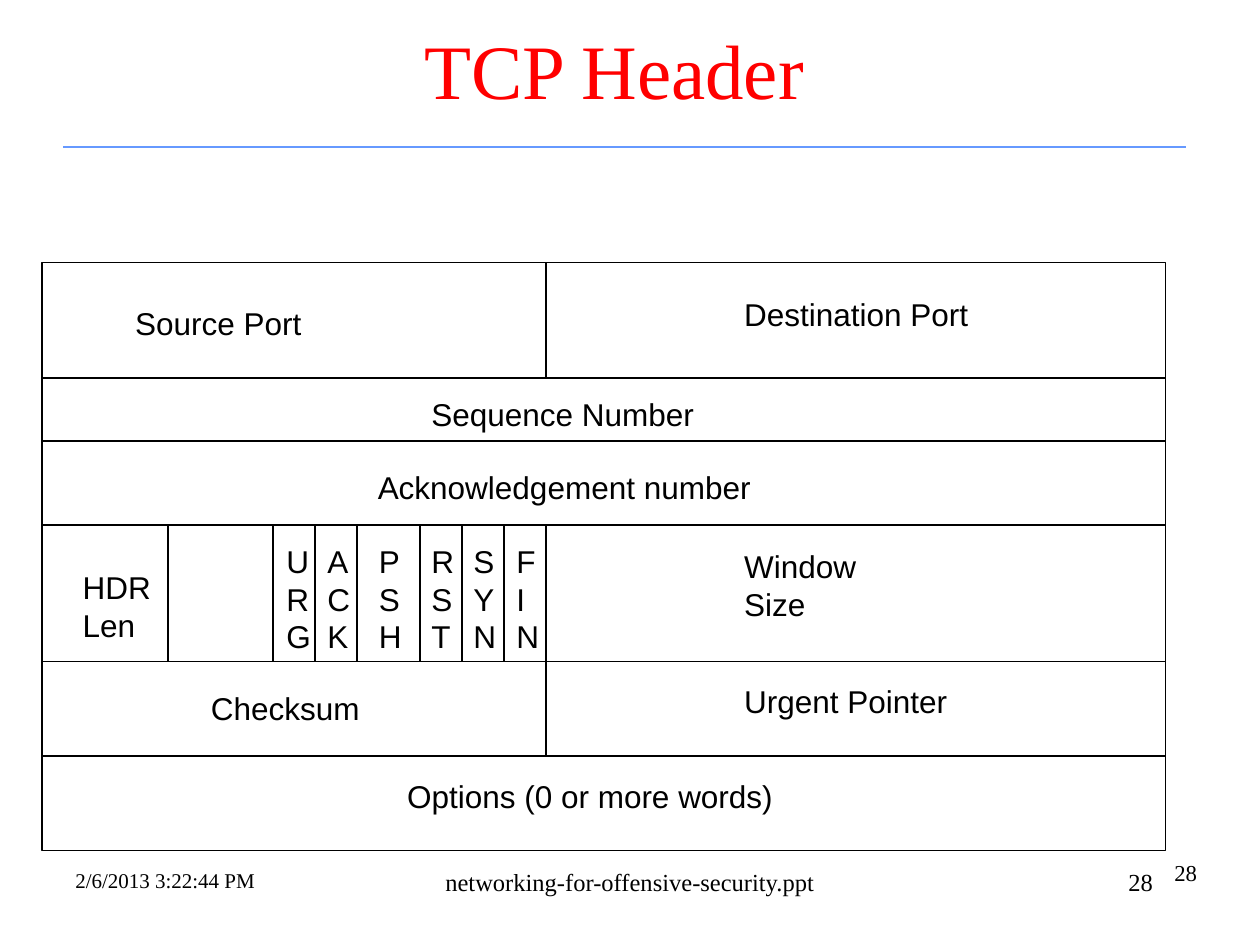
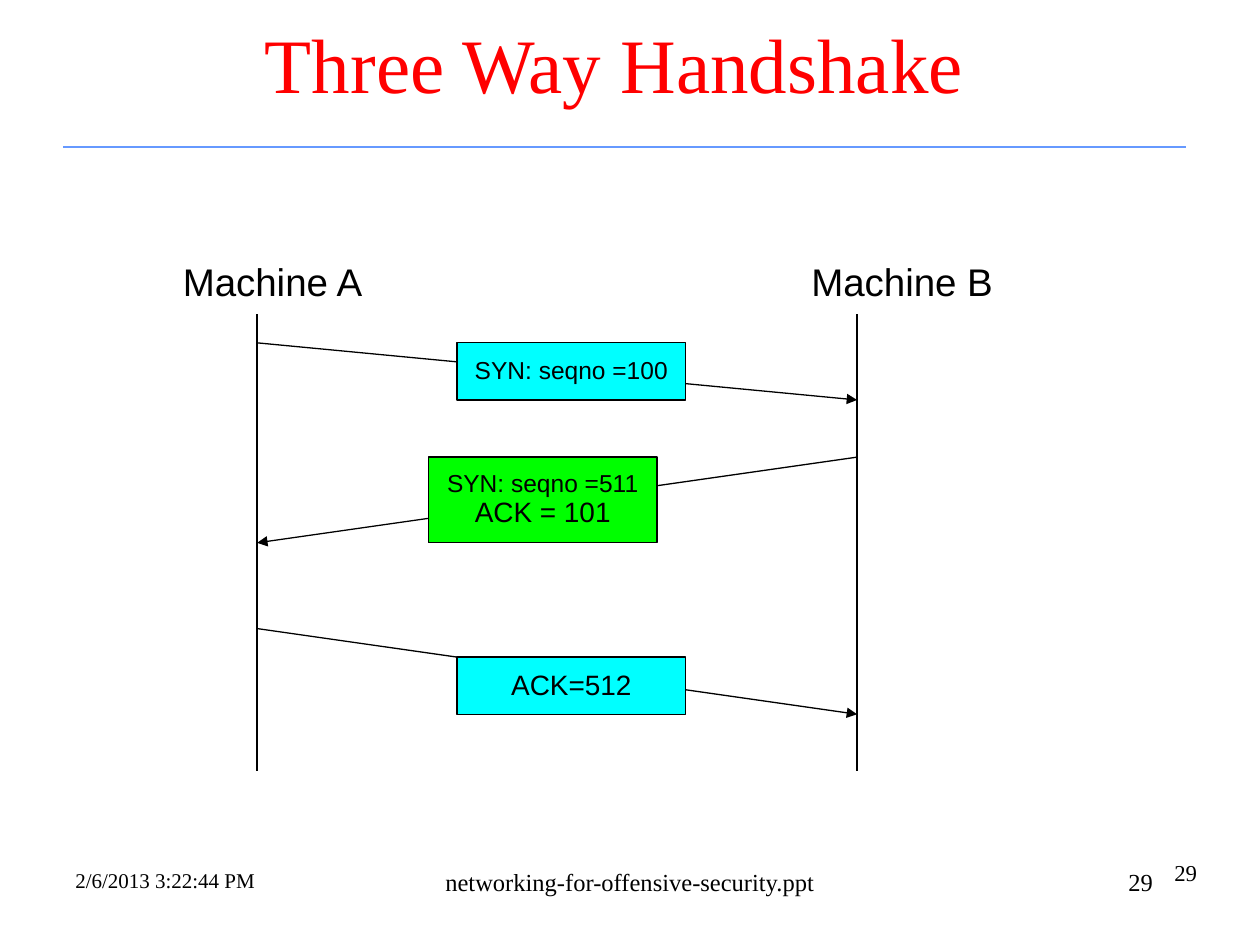
from lxml import etree
from pptx import Presentation
from pptx.dml.color import RGBColor
from pptx.enum.shapes import MSO_CONNECTOR as CONN, MSO_SHAPE as SHAPE
from pptx.enum.text import MSO_ANCHOR as ANCHOR, MSO_AUTO_SIZE as FIT, PP_ALIGN as ALIGN
from pptx.oxml.ns import qn
from pptx.util import Inches, Pt

# Shared look
SERIF, SANS = "Times New Roman", "Arial"
BLACK, RED, RULE = "000000", "FF0000", "6699FF"
CYAN, GREEN = "00FFFF", "00FF00"
DATE, FILE = "2/6/2013 3:22:44 PM", "networking-for-offensive-security.ppt"

# Grids: the number of units in an inch
FRAME = 12      # titles, footers and the header diagram
STEP = 4.41     # the handshake diagram


def color(code):
    return RGBColor.from_string(code)


def place(grid, *lengths):
    return [Inches(n / grid) for n in lengths]


def write(tf, paragraphs, size, font=SANS, ink=BLACK, align=ALIGN.LEFT,
          spacing=None, insets=(0.09, 0.05), anchor=ANCHOR.TOP, wrap=True):
    """Fill a text frame; a size may be one number or one for each paragraph."""
    tf.auto_size, tf.word_wrap, tf.vertical_anchor = FIT.NONE, wrap, anchor
    tf.margin_left = tf.margin_right = Inches(insets[0])
    tf.margin_top = tf.margin_bottom = Inches(insets[1])
    sizes = size if isinstance(size, list) else [size] * len(paragraphs)
    for i, (text, points) in enumerate(zip(paragraphs, sizes)):
        p = tf.add_paragraph() if i else tf.paragraphs[0]
        p.text = text
        p.alignment = align
        if spacing:
            p.line_spacing = spacing
        p.font.name, p.font.size = font, Pt(points)
        p.font.color.rgb = color(ink)


def text_box(s, grid, box, paragraphs, size, **style):
    sp = s.shapes.add_textbox(*place(grid, *box))
    write(sp.text_frame, paragraphs, size, **style)


def line(s, grid, ends, ink=BLACK, width=0.75, arrow=False):
    sp = s.shapes.add_connector(CONN.STRAIGHT, *place(grid, *ends))
    sp.line.color.rgb, sp.line.width = color(ink), Pt(width)
    if arrow:
        etree.SubElement(sp.line._get_or_add_ln(), qn("a:tailEnd"), type="triangle")
    etree.SubElement(sp._element.spPr, qn("a:effectLst"))


def block(s, grid, box, kind=SHAPE.RECTANGLE, fill=None):
    sp = s.shapes.add_shape(kind, *place(grid, *box))
    sp.shadow.inherit = False
    sp.line.color.rgb, sp.line.width = color(BLACK), Pt(0.75)
    if fill:
        sp.fill.solid()
        sp.fill.fore_color.rgb = color(fill)
    else:
        sp.fill.background()
    return sp


def new_slide(prs, title, number, **title_style):
    """Add a slide with the title, the rule below it and the footers."""
    s = prs.slides.add_slide(prs.slide_layouts[5])
    sp = s.shapes.title
    sp.left, sp.top, sp.width, sp.height = place(FRAME, 6, 2, 105, 9)
    write(sp.text_frame, [title], 44, font=SERIF, ink=RED, align=ALIGN.CENTER,
          anchor=ANCHOR.MIDDLE, **title_style)
    line(s, FRAME, (6, 14, 113, 14), RULE, 1)

    text_box(s, FRAME, (86, 82, 28, 6.2), [number], 13, font=SERIF,
             align=ALIGN.RIGHT, spacing=0.95, insets=(0, 0))
    for left, width, text, size, align in (
            (41, 38, FILE, 14, ALIGN.CENTER),
            (86, 25, number, 14, ALIGN.RIGHT),
            (6, 38.5, DATE, 12, ALIGN.LEFT)):
        text_box(s, FRAME, (left, 82, width, 6), [text], size, font=SERIF,
                 align=align, insets=(0.1, 0.05))
    return s


def tcp_header(prs):
    s = new_slide(prs, "TCP Header", "28")
    left, middle, right = 4, 52, 111
    top, ports, sequence, acknowledgement, flags, checksum, bottom = 25, 36, 42, 50, 63, 72, 81

    # Field names: column, row, width, paragraphs
    fields = [
        (11.8, 28.4, 18, ["Source Port"]),
        (69.8, 27.5, 23.5, ["Destination Port"]),
        (40, 37, 27.1, ["Sequence Number"]),
        (34.9, 44, 37.7, ["Acknowledgement number"]),
        (6.8, 53.5, 8.6, ["HDR\vLen"]),
        (69.8, 51.5, 12.8, ["Window", "Size"]),
        (19, 65, 16.3, ["Checksum"]),
        (69.8, 64.4, 21.5, ["Urgent Pointer"]),
        (37.7, 73.4, 37, ["Options (0 or more words)"]),
    ]
    flag_columns = (26.2, 30.1, 35, 40, 44, 48.1)
    fields += [(x, 51, 4.4, ["\v".join(name)])
               for x, name in zip(flag_columns, ("URG", "ACK", "PSH", "RST", "SYN", "FIN"))]
    for x, y, width, paragraphs in fields:
        rows = len(paragraphs) + paragraphs[0].count("\v")
        text_box(s, FRAME, (x, y, width, 1.1 + 3.6 * rows), paragraphs, 18, wrap=False)

    # Frame, row lines and column lines
    block(s, FRAME, (left, top, right - left, bottom - top))
    for y in (ports, sequence, acknowledgement, flags, checksum):
        line(s, FRAME, (left, y, right, y))
    line(s, FRAME, (middle, top, middle, ports))
    for x in (16, 26, 30, 34, 40, 44, 48, middle):
        line(s, FRAME, (x, acknowledgement, x, flags))
    line(s, FRAME, (middle, flags, middle, checksum))


def handshake(prs):
    s = new_slide(prs, "Three Way Handshake", "29", spacing=0.93, insets=(0, 0))
    style = dict(spacing=0.93, insets=(0.09, 0.04))
    a, b = 9, 30

    # Machines and their time lines
    for x, label, name in ((a, 6, "Machine A"), (b, 28, "Machine B")):
        text_box(s, STEP, (label, 9, 7.1, 1.9), [name], 22, wrap=False, **style)
        line(s, STEP, (x, 11, x, 27))

    # Messages: arrow ends, box, fill, text, sizes
    messages = [
        ((a, 12, b, 14), (16, 12, 8, 2), CYAN, ["SYN: seqno =100"], 14),
        ((b, 16, a, 19), (15, 16, 8, 3), GREEN, ["SYN: seqno =511", "ACK = 101"], [14, 16]),
        ((a, 22, b, 25), (16, 23, 8, 2), CYAN, ["ACK=512"], 16),
    ]
    for ends, box, fill, paragraphs, size in messages:
        line(s, STEP, ends, arrow=True)
        sp = block(s, STEP, box, SHAPE.ROUNDED_RECTANGLE, fill)
        sp.adjustments[0] = 0
        write(sp.text_frame, paragraphs, size, align=ALIGN.CENTER,
              anchor=ANCHOR.MIDDLE, **style)


def main():
    prs = Presentation()
    prs.slide_width, prs.slide_height = Inches(10), Inches(7.5)
    tcp_header(prs)
    handshake(prs)
    prs.save("out.pptx")


if __name__ == "__main__":
    main()
